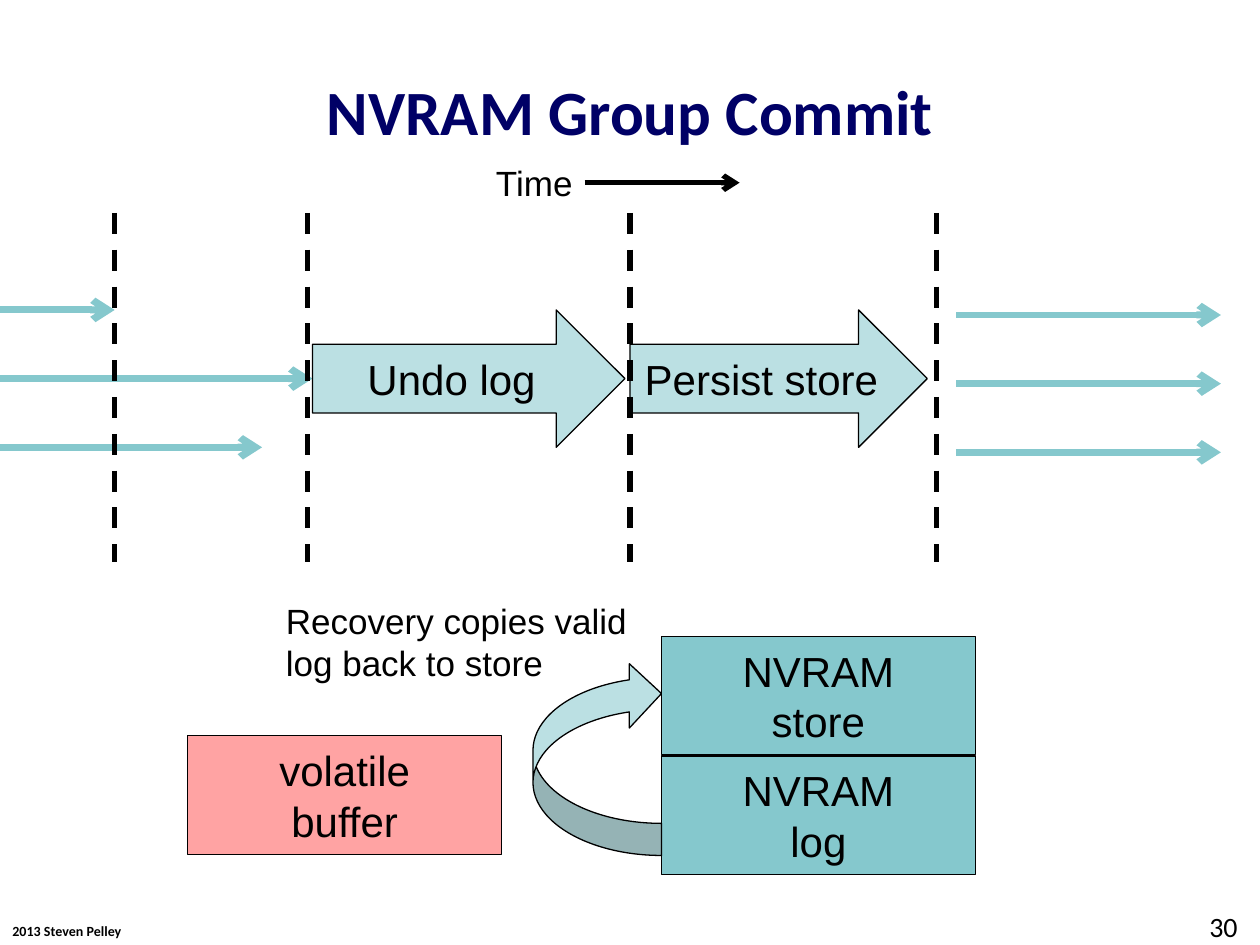
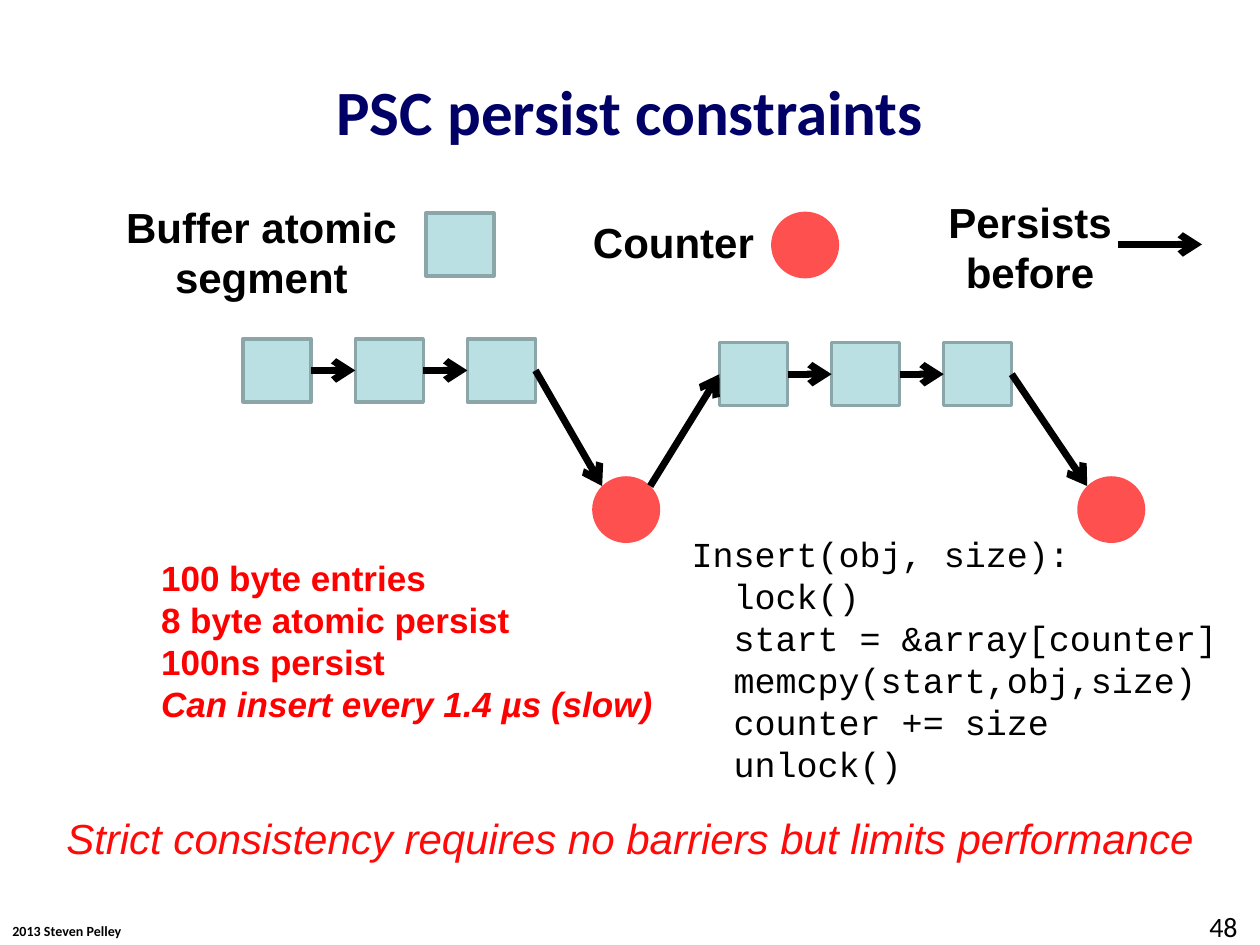
import dataclasses
import math

import pptx
import pptx.dml.color
import pptx.enum.dml
import pptx.enum.shapes
import pptx.enum.text
import pptx.oxml.ns
import pptx.util
from lxml import etree

Inches = pptx.util.Inches
Pt = pptx.util.Pt
SHAPE = pptx.enum.shapes.MSO_SHAPE
ALIGN = pptx.enum.text.PP_ALIGN
ANCHOR = pptx.enum.text.MSO_ANCHOR


@dataclasses.dataclass(frozen=True)
class Theme:
    ink: str = "000000"
    navy: str = "000066"
    teal: str = "85C8CD"
    pale: str = "BBE0E3"
    pale_edge: str = "8AA6A8"
    pink: str = "FFA3A3"
    coral: str = "FF5050"
    red: str = "FF0000"
    takeaway_red: str = "FF0909"
    body: str = "Arial"
    heading: str = "Calibri"
    code: str = "Courier New"
    title_size: int = 36
    label_size: int = 24
    note_size: int = 20
    number_size: int = 16
    credit_size: int = 8
    thin: float = 0.75
    edge: float = 2
    medium: float = 3
    thick: float = 4


THEME = Theme()
CREDIT = "2013 Steven Pelley"

# Content: group commit (left, top, width, height in inches)
COMMIT_TITLE, COMMIT_NUMBER = "NVRAM Group Commit", "30"
EARLIER_TRANSACTION_ENDS = [0.91, 2.48, 2.08]
LATER_TRANSACTION_SPAN = (7.59, 9.69)
EARLIER_TOP, LATER_TOP, TRANSACTION_GAP = 2.46, 2.5, 0.545
PHASES = [("Undo log", 2.48, 2.48), ("Persist store", 5, 2.36)]
PHASE_BOUNDARIES = [0.91, 2.44, 5, 7.43]
MEMORIES = [
    ("volatile\nbuffer", 1.49, 5.84, THEME.pink),
    ("NVRAM\nstore", 5.25, 5.05, THEME.teal),
    ("NVRAM\nlog", 5.25, 6, THEME.teal),
]

# Content: persist constraints
PSC_TITLE, PSC_NUMBER = "PSC persist constraints", "48"
LEGEND = [
    ("Buffer atomic segment", (0.49, 1.55, 3.17, 0.91)),
    ("Counter", (4.31, 1.67, 2.07, 0.5)),
    ("Persists before", (7.14, 1.51, 2.07, 0.91)),
]
SEGMENT_W, SEGMENT_H, SEGMENT_STEP, SEGMENTS_PER_INSERT = 0.54, 0.5, 0.89, 3
COUNTER_W, COUNTER_H, COUNTER_TOP = 0.54, 0.53, 3.78
INSERTS = [  # first segment left, segment top, counter left
    (1.93, 2.69, 4.7),
    (5.71, 2.72, 8.55),
]
INSERT_CODE = [  # indent level, line
    (0, "Insert(obj, size):"),
    (1, "lock()"),
    (1, "start = &array[counter]"),
    (1, "memcpy(start,obj,size)"),
    (1, "counter += size"),
    (1, "unlock()"),
]
CODE_INDENT = Pt(24)
COSTS = ["100 byte entries", "8 byte atomic persist", "100ns persist",
         "Can insert every 1.4 µs (slow)"]
TAKEAWAY = "Strict consistency requires no barriers but limits performance"


# Shared helpers
def rgb(color):
    return pptx.dml.color.RGBColor.from_string(color)


def write(frame, text, size, color=THEME.ink, font=THEME.body,
          bold=False, italic=False, align=ALIGN.LEFT):
    frame.text = text
    for paragraph in frame.paragraphs:
        paragraph.alignment = align
        for run in paragraph.runs:
            run.font.name = font
            run.font.size = Pt(size)
            run.font.bold = bold
            run.font.italic = italic
            run.font.color.rgb = rgb(color)


def add_label(slide, box, text, size, wrap=True, **style):
    frame = slide.shapes.add_textbox(*map(Inches, box)).text_frame
    frame.word_wrap = wrap
    write(frame, text, size, **style)
    return frame


def add_block(slide, kind, box, fill, edge=THEME.ink, width=THEME.thin, text=""):
    block = slide.shapes.add_shape(kind, *map(Inches, box))
    block.shadow.inherit = False
    block.fill.solid()
    block.fill.fore_color.rgb = rgb(fill)
    if edge:
        block.line.color.rgb = rgb(edge)
        block.line.width = Pt(width)
    else:
        block.line.fill.background()
    if text:
        frame = block.text_frame
        frame.word_wrap = True
        frame.margin_left = frame.margin_right = Inches(0.05)
        frame.vertical_anchor = ANCHOR.MIDDLE
        write(frame, text, THEME.label_size, align=ALIGN.CENTER)
    return block


def add_line(slide, start, end, color=THEME.ink, width=THEME.thick, arrow=True):
    """Draw an arrow, or a dashed rule when arrow is False."""
    line = slide.shapes.add_connector(
        pptx.enum.shapes.MSO_CONNECTOR.STRAIGHT, *map(Inches, (*start, *end)))
    line.line.color.rgb = rgb(color)
    line.line.width = Pt(width)
    properties = line._element.spPr
    if arrow:
        outline = properties.find(pptx.oxml.ns.qn("a:ln"))
        etree.SubElement(outline, pptx.oxml.ns.qn("a:tailEnd"), type="arrow")
    else:
        line.line.dash_style = pptx.enum.dml.MSO_LINE.DASH
    etree.SubElement(properties, pptx.oxml.ns.qn("a:effectLst"))
    return line


def start_slide(deck, title, number):
    slide = deck.slides.add_slide(deck.slide_layouts[5])
    heading = slide.shapes.title
    heading.left, heading.top = Inches(0.5), Inches(0.5)
    heading.width, heading.height = Inches(9), Inches(0.75)
    heading.text_frame.vertical_anchor = ANCHOR.MIDDLE
    write(heading.text_frame, title, THEME.title_size, THEME.navy,
          THEME.heading, bold=True, align=ALIGN.CENTER)
    add_label(slide, (0, 7.27, 1.07, 0.24), CREDIT, THEME.credit_size,
              wrap=False, font=THEME.heading, bold=True)
    add_label(slide, (9.5, 7.17, 0.5, 0.33), number, THEME.number_size,
              font=THEME.heading)
    return slide


def build_group_commit(deck):
    slide = start_slide(deck, COMMIT_TITLE, COMMIT_NUMBER)

    # Time axis
    add_label(slide, (3.83, 1.23, 0.82, 0.44), "Time", THEME.note_size,
              wrap=False, align=ALIGN.CENTER)
    add_line(slide, (4.64, 1.45), (5.87, 1.45), width=THEME.medium)

    # Transactions before and after the commit
    later_start, later_end = LATER_TRANSACTION_SPAN
    for row, earlier_end in enumerate(EARLIER_TRANSACTION_ENDS):
        earlier_y = EARLIER_TOP + row * TRANSACTION_GAP
        later_y = LATER_TOP + row * TRANSACTION_GAP
        add_line(slide, (0, earlier_y), (earlier_end, earlier_y), THEME.teal)
        add_line(slide, (later_start, later_y), (later_end, later_y), THEME.teal)

    # Commit phases and their boundaries
    for phase, left, width in PHASES:
        add_block(slide, SHAPE.RIGHT_ARROW, (left, 2.46, width, 1.09),
                  THEME.pale, text=phase)
    for x in PHASE_BOUNDARIES:
        add_line(slide, (x, 1.69), (x, 4.46), width=THEME.medium, arrow=False)

    # Memories and recovery
    for memory, left, top, fill in MEMORIES:
        add_block(slide, SHAPE.RECTANGLE, (left, top, 2.49, 0.94), fill, text=memory)
    add_label(slide, (2.17, 4.71, 2.98, 0.77),
              "Recovery copies valid log back to store", THEME.note_size)
    recovery = add_block(slide, SHAPE.CURVED_RIGHT_ARROW,
                         (4.23, 5.25, 1.02, 1.54), THEME.pale)
    recovery._element.spPr.xfrm.set("flipV", "1")


def add_segment(slide, left, top):
    return add_block(slide, SHAPE.RECTANGLE, (left, top, SEGMENT_W, SEGMENT_H),
                     THEME.pale, THEME.pale_edge, THEME.edge)


def add_counter(slide, left, top):
    add_block(slide, SHAPE.OVAL, (left, top, COUNTER_W, COUNTER_H),
              THEME.coral, edge=None)


def counter_corner(left, side):
    """Point on the counter's upper rim at 45 degrees; side is -1 or 1."""
    reach = math.sqrt(0.5) / 2
    return (left + COUNTER_W * (0.5 + side * reach),
            COUNTER_TOP + COUNTER_H * (0.5 - reach))


def build_persist_constraints(deck):
    slide = start_slide(deck, PSC_TITLE, PSC_NUMBER)

    # Legend
    for meaning, box in LEGEND:
        add_label(slide, box, meaning, THEME.label_size, bold=True,
                  align=ALIGN.CENTER)
    add_segment(slide, 3.38, 1.69)
    add_counter(slide, 6.12, 1.68)
    add_line(slide, (8.87, 1.94), (9.54, 1.94))

    # Each insert persists its segments, then the counter
    previous_counter = None
    for first_left, top, counter_left in INSERTS:
        middle = top + SEGMENT_H / 2
        lefts = [first_left + i * SEGMENT_STEP for i in range(SEGMENTS_PER_INSERT)]
        segments = [add_segment(slide, left, top) for left in lefts]
        add_counter(slide, counter_left, COUNTER_TOP)
        for before, after in zip(segments, segments[1:]):
            step = add_line(slide, (first_left, middle), (first_left, middle))
            step.begin_connect(before, 3)
            step.end_connect(after, 1)
        if previous_counter is not None:
            resume = add_line(slide, counter_corner(previous_counter, 1),
                              (first_left, middle))
            resume.end_connect(segments[0], 1)
        finish = add_line(slide, (lefts[-1] + SEGMENT_W, middle),
                          counter_corner(counter_left, -1))
        finish.begin_connect(segments[-1], 3)
        previous_counter = counter_left

    # Insert routine, its cost and the takeaway
    code = add_label(slide, (5.39, 4.18, 4.41, 2.12),
                     "\n".join(line for _, line in INSERT_CODE),
                     THEME.note_size, wrap=False, font=THEME.code)
    for paragraph, (level, _) in zip(code.paragraphs, INSERT_CODE):
        paragraph._p.get_or_add_pPr().set("marL", str(level * CODE_INDENT))
    costs = add_label(slide, (1.18, 4.37, 4.11, 1.45), "\n".join(COSTS),
                      THEME.note_size, wrap=False, color=THEME.red, bold=True)
    costs.paragraphs[-1].runs[0].font.italic = True
    add_label(slide, (0.38, 6.4, 9.24, 0.5), TAKEAWAY, THEME.label_size,
              wrap=False, color=THEME.takeaway_red, italic=True,
              align=ALIGN.CENTER)


def main():
    deck = pptx.Presentation()
    deck.slide_width, deck.slide_height = Inches(10), Inches(7.5)
    build_group_commit(deck)
    build_persist_constraints(deck)
    deck.save("out.pptx")


if __name__ == "__main__":
    main()
